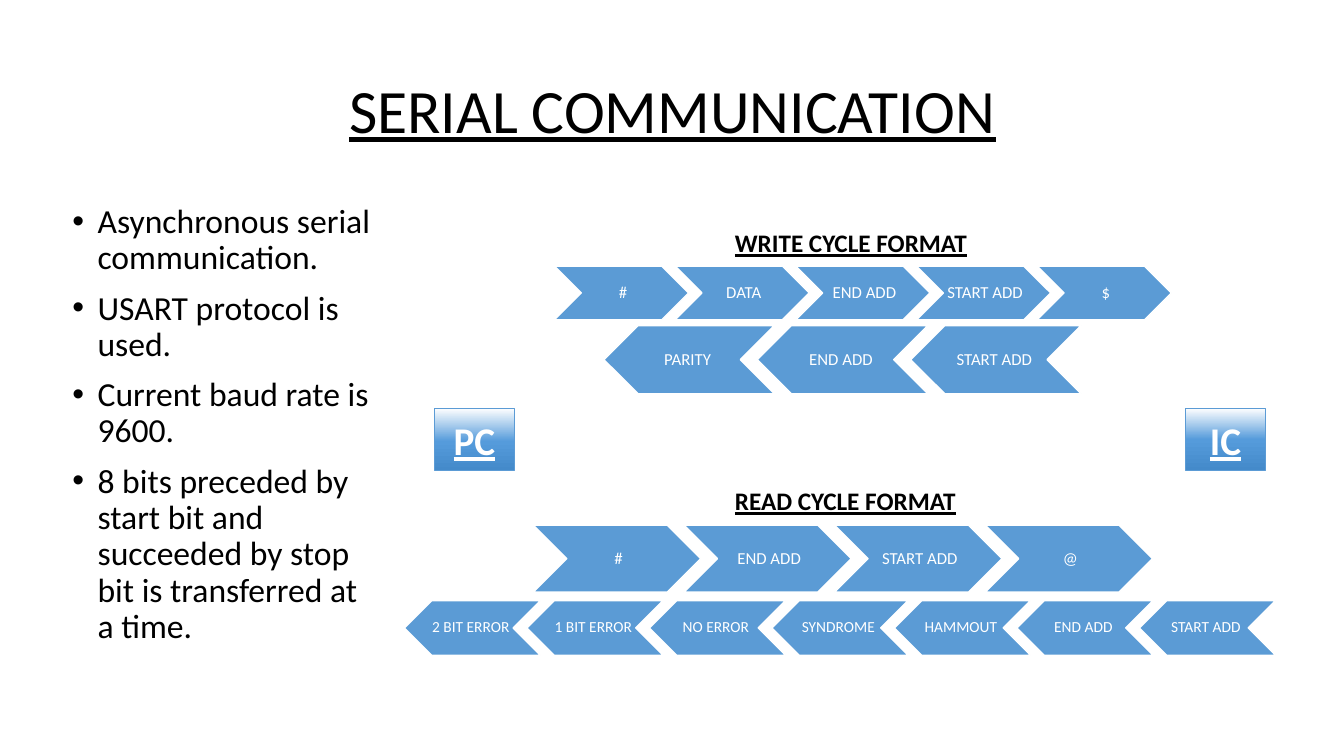
import copy
import pptx
import pptx.util
import pptx.dml.color
import pptx.enum.shapes
import pptx.enum.text
import pptx.oxml
import pptx.oxml.ns
from dataclasses import dataclass
from pptx.util import Inches

# Content
TITLE = "SERIAL COMMUNICATION"
BULLETS = [
    "Asynchronous serial communication.",
    "USART protocol is used.",
    "Current baud rate is 9600.",
    "8 bits preceded by start bit and succeeded by stop bit is transferred at a time.",
]
# Frames: left, top, chevron width, points left, text size, fields
FRAMES = [
    (5.5, 2.64, 1.33, False, 12, ["#", "DATA", "END ADD", "START ADD", "$"]),
    (5.99, 3.23, 1.69, True, 12, ["PARITY", "END ADD", "START ADD"]),
    (5.29, 5.21, 1.66, False, 12, ["#", "END ADD", "START ADD", "@"]),
    (4.01, 5.96, 1.35, True, 11, ["2 BIT ERROR", "1 BIT ERROR", "NO ERROR", "SYNDROME",
                                  "HAMMOUT", "END ADD", "START ADD"]),
]
HEADINGS = [("WRITE CYCLE FORMAT", 2.21), ("READ CYCLE FORMAT", 4.77)]
DEVICES = [("PC", 4.31, 53), ("IC", 11.76, 50)]  # name, left, middle gradient stop

# Layout, in inches
W, H = 13.33, 7.5
PITCH, ASPECT = 0.9, 0.4  # chevron step and height, as shares of its width


@dataclass
class Theme:
    font: str = "Calibri"
    ink: str = "000000"
    paper: str = "FFFFFF"
    blue: str = "5B9BD5"
    mid: str = "559BDB"
    deep: str = "448ACA"
    title: int = 44
    device: int = 28
    body: int = 24
    heading: int = 18


T = Theme()
SHAPE = pptx.enum.shapes.MSO_SHAPE
ALIGN = pptx.enum.text.PP_ALIGN
ANCHOR = pptx.enum.text.MSO_ANCHOR


def rgb(value):
    return pptx.dml.color.RGBColor.from_string(value)


def write(sp, lines, size, color=T.ink, align=ALIGN.LEFT, anchor=ANCHOR.TOP, bold=False,
          underline=False, spacing=1.0, before=0, bullet=None, insets=(0.1, 0.05, 0.1, 0.05)):
    tf = sp.text_frame
    tf.word_wrap = True
    tf.vertical_anchor = anchor
    tf.margin_left, tf.margin_top, tf.margin_right, tf.margin_bottom = map(Inches, insets)
    for i, line in enumerate(lines):
        p = tf.add_paragraph() if i else tf.paragraphs[0]
        p.alignment, p.line_spacing, p.space_before = align, spacing, pptx.util.Pt(before)
        r = p.add_run()
        r.text = line
        f = r.font
        f.name, f.size, f.bold, f.underline = T.font, pptx.util.Pt(size), bold, underline
        f.color.rgb = rgb(color)
        if bullet:
            pPr = p._p.get_or_add_pPr()
            pPr.set("marL", str(Inches(0.25)))
            pPr.set("indent", str(Inches(-0.25)))
            for tag, key, value in (("buFont", "typeface", "Arial"), ("buChar", "char", bullet)):
                el = pptx.oxml.parse_xml(f"<a:{tag} {pptx.oxml.ns.nsdecls('a')}/>")
                el.set(key, value)
                pPr.append(el)


def box(shapes, x, y, w, h):
    return shapes.add_textbox(*map(Inches, (x, y, w, h)))


def shape(shapes, kind, x, y, w, h, line, weight):
    sp = shapes.add_shape(kind, *map(Inches, (x, y, w, h)))
    sp.shadow.inherit = False
    sp.fill.solid()
    sp.fill.fore_color.rgb = rgb(T.blue)
    sp.line.color.rgb = rgb(line)
    sp.line.width = pptx.util.Pt(weight)
    return sp


def shade(sp, middle):
    sp.fill.gradient()
    sp.fill.gradient_angle = 270
    first = sp.fill.gradient_stops[0]._gs
    first.addnext(copy.deepcopy(first))
    stops = ((0, T.paper), (middle, T.mid), (100, T.deep))
    for stop, (place, color) in zip(sp.fill.gradient_stops, stops):
        stop.position = place / 100
        stop.color.rgb = rgb(color)


def frame(s, left, top, w, points_left, size, fields):
    h = w * ASPECT
    group = s.shapes.add_group_shape().shapes
    insets = (0.02, 0.02, 0.05, 0.02) if points_left else (0.05, 0.02, 0.02, 0.02)
    for i, field in enumerate(fields):
        at = (left + i * w * PITCH, top, w, h)
        sp = shape(group, SHAPE.CHEVRON, *at, T.paper, 1)
        sp.rotation = 180 if points_left else 0
        write(box(group, *at), [field], size, color=T.paper, align=ALIGN.CENTER,
              anchor=ANCHOR.MIDDLE, spacing=0.9, insets=insets)


def main():
    prs = pptx.Presentation()
    prs.slide_width, prs.slide_height = Inches(W), Inches(H)
    s = prs.slides.add_slide(prs.slide_layouts[6])

    # Rows of chevrons
    for row in FRAMES:
        frame(s, *row)

    # Title and bullets
    write(box(s.shapes, 0.92, 0.4, 11.5, 1.45), [TITLE], T.title, align=ALIGN.CENTER,
          anchor=ANCHOR.MIDDLE, underline=True, spacing=0.9)
    write(box(s.shapes, 0.62, 1.98, 3.16, H - 1.98), BULLETS, T.body, spacing=0.9,
          before=10, bullet="•")

    # Devices
    for name, left, middle in DEVICES:
        sp = shape(s.shapes, SHAPE.RECTANGLE, left, 4.05, 0.79, 0.62, T.blue, 0.5)
        shade(sp, middle)
        write(sp, [name], T.device, color=T.paper, align=ALIGN.CENTER,
              anchor=ANCHOR.MIDDLE, bold=True, underline=True)

    # Cycle headings
    for text, top in HEADINGS:
        write(box(s.shapes, 7.19, top, 2.8, 0.4), [text], T.heading, bold=True, underline=True)

    prs.save("out.pptx")


if __name__ == "__main__":
    main()
